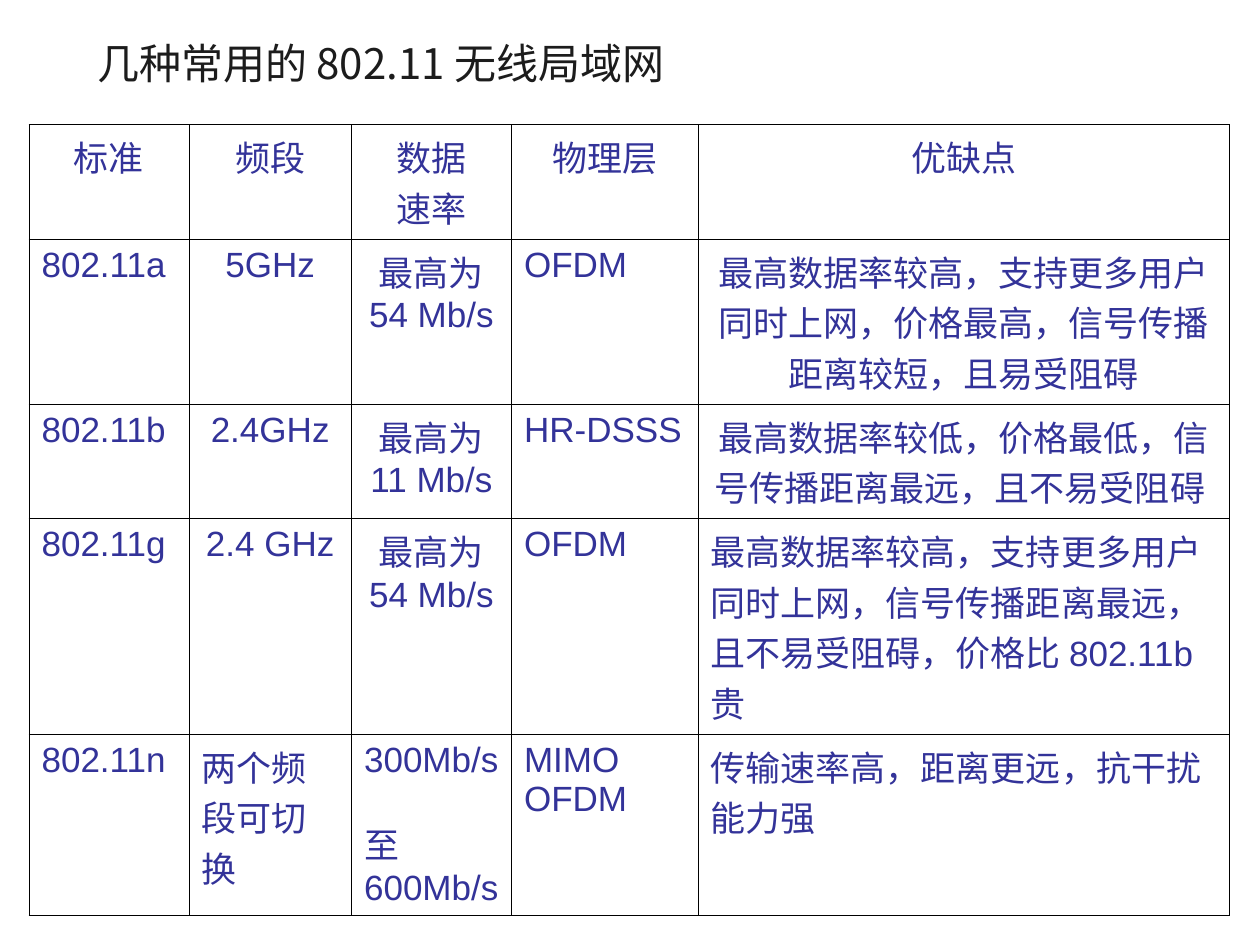
from lxml import etree
from pptx import Presentation
from pptx.dml.color import RGBColor
from pptx.enum import text as t
from pptx.oxml import ns
from pptx.util import Inches, Pt

TITLE = "几种常用的 802.11 无线局域网"
CJK = "Noto Sans CJK SC"
INK, BLUE, BLACK = "1C1C1C", "333399", "000000"

# One string per row gives the alignment of its cells: c centred, l left.
ROWS = [
    (0.77, "ccccc", ["标准", "频段", "数据\n速率", "物理层", "优缺点"]),
    (1.1, "lcclc", ["802.11a", "5GHz", "最高为\n54 Mb/s", "OFDM",
                    "最高数据率较高，支持更多用户\n同时上网，价格最高，信号传播\n距离较短，且易受阻碍"]),
    (0.88, "lcclc", ["802.11b", "2.4GHz", "最高为\n11 Mb/s", "HR-DSSS",
                     "最高数据率较低，价格最低，信\n号传播距离最远，且不易受阻碍 "]),
    (1.44, "lccll", ["802.11g", "2.4 GHz", "最高为\n54 Mb/s", "OFDM",
                     "最高数据率较高，支持更多用户\n同时上网，信号传播距离最远，\n且不易受阻碍，价格比 802.11b\n贵"]),
    (1.44, "lllll", ["802.11n", "两个频\n段可切\n换", "300Mb/s\n至\n600Mb/s", "MIMO\nOFDM",
                     "传输速率高，距离更远，抗干扰\n能力强"]),
]
WIDTHS = [1.27, 1.29, 1.27, 1.48, 4.22]
ALIGN = {"c": t.PP_ALIGN.CENTER, "l": t.PP_ALIGN.LEFT}
INDENT = Inches(0.38)


def color(code):
    return RGBColor.from_string(code)


def style(para, size, face, code):
    for run in para.runs:
        font = run.font
        font.size, font.name, font.bold = Pt(size), face, False
        font.color.rgb = color(code)
        etree.SubElement(font._element, ns.qn("a:ea"), typeface=CJK)


def border(cell):
    props = cell._tc.get_or_add_tcPr()
    for side in ("lnL", "lnR", "lnT", "lnB"):
        line = etree.SubElement(props, ns.qn("a:" + side), w=str(Pt(0.45)))
        fill = etree.SubElement(line, ns.qn("a:solidFill"))
        etree.SubElement(fill, ns.qn("a:srgbClr"), val=BLACK)


def fill_cell(cell, words, align):
    border(cell)
    cell.fill.background()
    cell.text_frame.text = words
    for para in cell.text_frame.paragraphs:
        para.alignment = ALIGN[align]
        props = para._p.get_or_add_pPr()
        props.set("marL", str(INDENT))
        props.set("indent", str(-INDENT))
        if para.text == "至":
            para.space_before = Pt(22)
        style(para, 20, "Arial", BLUE)


def add_title(slide):
    title = slide.shapes.title
    title.left, title.top = Inches(0.67), Inches(0.08)
    title.width, title.height = Inches(8.52), Inches(0.84)
    frame = title.text_frame
    frame.text = TITLE
    frame.vertical_anchor = t.MSO_ANCHOR.MIDDLE
    para = frame.paragraphs[0]
    para.alignment = t.PP_ALIGN.LEFT
    style(para, 24, CJK, INK)


def add_grid(slide):
    high = sum(row[0] for row in ROWS)
    grid = slide.shapes.add_table(
        len(ROWS), len(WIDTHS), Inches(0.23), Inches(0.99),
        Inches(sum(WIDTHS)), Inches(high)).table
    grid.first_row = grid.horz_banding = False
    for col, width in zip(grid.columns, WIDTHS):
        col.width = Inches(width)
    for row, (height, aligns, texts) in zip(grid.rows, ROWS):
        row.height = Inches(height)
        for cell, words, align in zip(row.cells, texts, aligns):
            fill_cell(cell, words, align)


def main():
    deck = Presentation()
    deck.slide_width, deck.slide_height = Inches(10), Inches(7.5)
    slide = deck.slides.add_slide(deck.slide_layouts[5])
    add_title(slide)
    add_grid(slide)
    deck.save("out.pptx")


if __name__ == "__main__":
    main()
